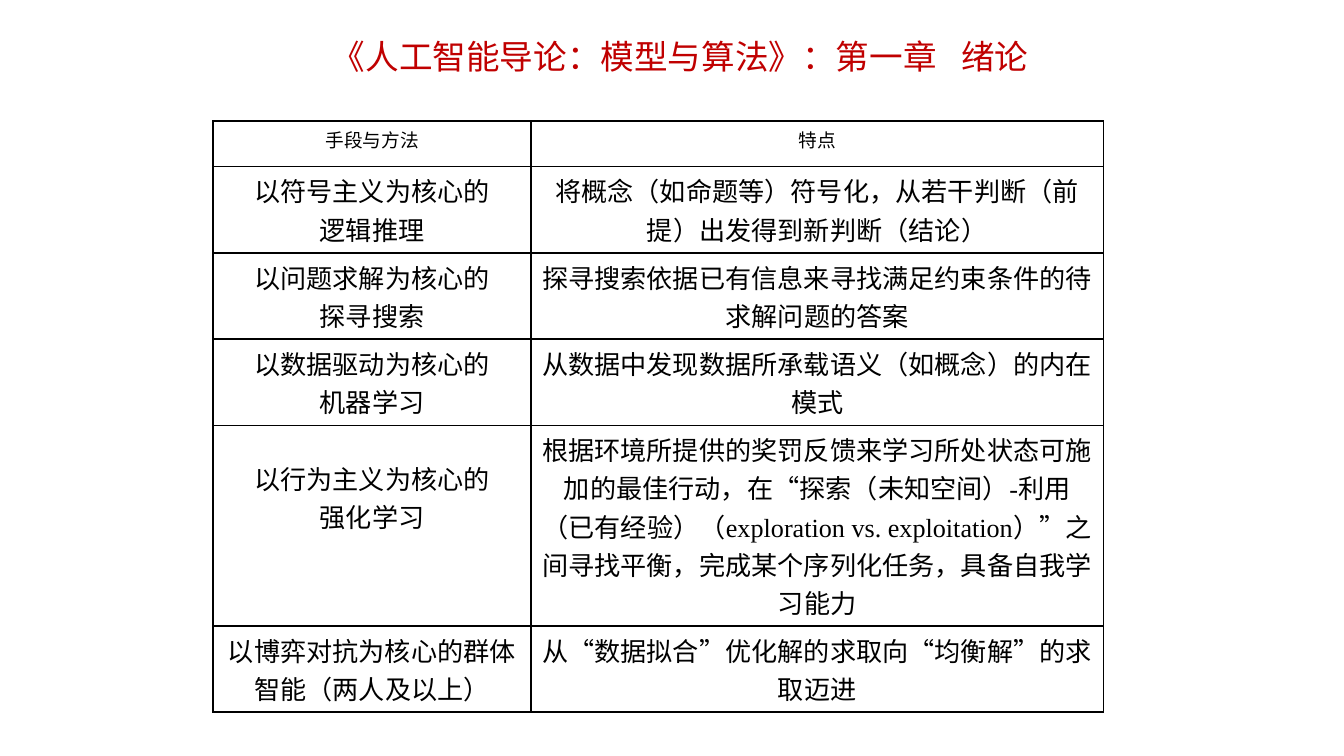
from lxml import etree
from pptx import Presentation
from pptx.dml.color import RGBColor
from pptx.enum import text as t
from pptx.oxml import ns
from pptx.util import Pt


def color(code):
    return RGBColor.from_string(code)


def write(para, words, size=14, ink="000000", font="Times New Roman", gap=0):
    """Add centred text; gap is extra letter spacing in points."""
    para.alignment = t.PP_ALIGN.CENTER
    run = para.add_run()
    run.text = words
    run.font.name = font
    run.font.size = Pt(size)
    run.font.color.rgb = color(ink)
    if gap:
        run._r.get_or_add_rPr().set("spc", str(gap * 100))


class Deck:
    red = "C00000"
    line = "000000"
    paper = "FFFFFF"

    def __init__(self, wide, high):
        self.prs = Presentation()
        self.prs.slide_width, self.prs.slide_height = Pt(wide), Pt(high)
        self.slide = self.prs.slides.add_slide(self.prs.slide_layouts[6])

    def title(self, parts, left, top, wide, high):
        box = self.slide.shapes.add_textbox(Pt(left), Pt(top), Pt(wide), Pt(high))
        frame = box.text_frame
        frame.word_wrap = True
        frame.vertical_anchor = t.MSO_ANCHOR.MIDDLE
        frame.margin_top = Pt(11.5)
        para = frame.paragraphs[0]
        para.line_spacing = 0.9
        for words, gap in parts:
            write(para, words, size=18, ink=self.red, gap=gap)

    def border(self, cell):
        props = cell._tc.get_or_add_tcPr()
        for spot, side in enumerate(("lnL", "lnR", "lnT", "lnB")):
            edge = etree.Element(ns.qn(f"a:{side}"), w=str(Pt(1)))
            fill = etree.SubElement(edge, ns.qn("a:solidFill"))
            etree.SubElement(fill, ns.qn("a:srgbClr"), val=self.line)
            props.insert(spot, edge)

    def cell(self, cell, words, size, drop=0):
        cell.fill.solid()
        cell.fill.fore_color.rgb = color(self.paper)
        cell.margin_left = cell.margin_right = Pt(5)
        cell.margin_top, cell.margin_bottom = Pt(2.7 + drop), Pt(2.7)
        frame = cell.text_frame
        for num, part in enumerate(words.split("\n")):
            para = frame.add_paragraph() if num else frame.paragraphs[0]
            write(para, part, size=size)
        self.border(cell)

    def table(self, rows, left, top, cols, highs, drops):
        grid = self.slide.shapes.add_table(
            len(rows), len(cols), Pt(left), Pt(top), Pt(sum(cols)), Pt(sum(highs))
        ).table
        grid.first_row = grid.horz_banding = False
        for col, wide in zip(grid.columns, cols):
            col.width = Pt(wide)
        for r, (row, high) in enumerate(zip(rows, highs)):
            grid.rows[r].height = Pt(high)
            for c, words in enumerate(row):
                size = 14 if r else 10
                self.cell(grid.cell(r, c), words, size, drops.get((r, c), 0))


rows = [
    ("手段与方法", "特点"),
    ("以符号主义为核心的\n逻辑推理",
     "将概念（如命题等）符号化，从若干判断（前提）出发得到新判断（结论）"),
    ("以问题求解为核心的\n探寻搜索",
     "探寻搜索依据已有信息来寻找满足约束条件的待求解问题的答案"),
    ("以数据驱动为核心的\n机器学习",
     "从数据中发现数据所承载语义（如概念）的内在模式"),
    ("以行为主义为核心的\n强化学习",
     "根据环境所提供的奖罚反馈来学习所处状态可施加的最佳行动，"
     "在“探索（未知空间）-利用（已有经验）（exploration vs. exploitation）”"
     "之间寻找平衡，完成某个序列化任务，具备自我学习能力"),
    ("以博弈对抗为核心的群体智能（两人及以上）",
     "从“数据拟合”优化解的求取向“均衡解”的求取迈进"),
]

deck = Deck(720, 405)

# Title, with a widened space before the chapter name
deck.title([("《人工智能导论：模型与算法》：第一章", 0), (" ", 9), ("绪论", 0)],
           117.3, 8, 494, 39)

# Table of methods; the tall row's label sits lower
plain = 46.25
deck.table(rows, 114.1, 64.8, cols=(170.5, 306.5),
           highs=(24.4, plain, plain, plain, 107.4, plain), drops={(4, 0): 15.5})

deck.prs.save("out.pptx")
